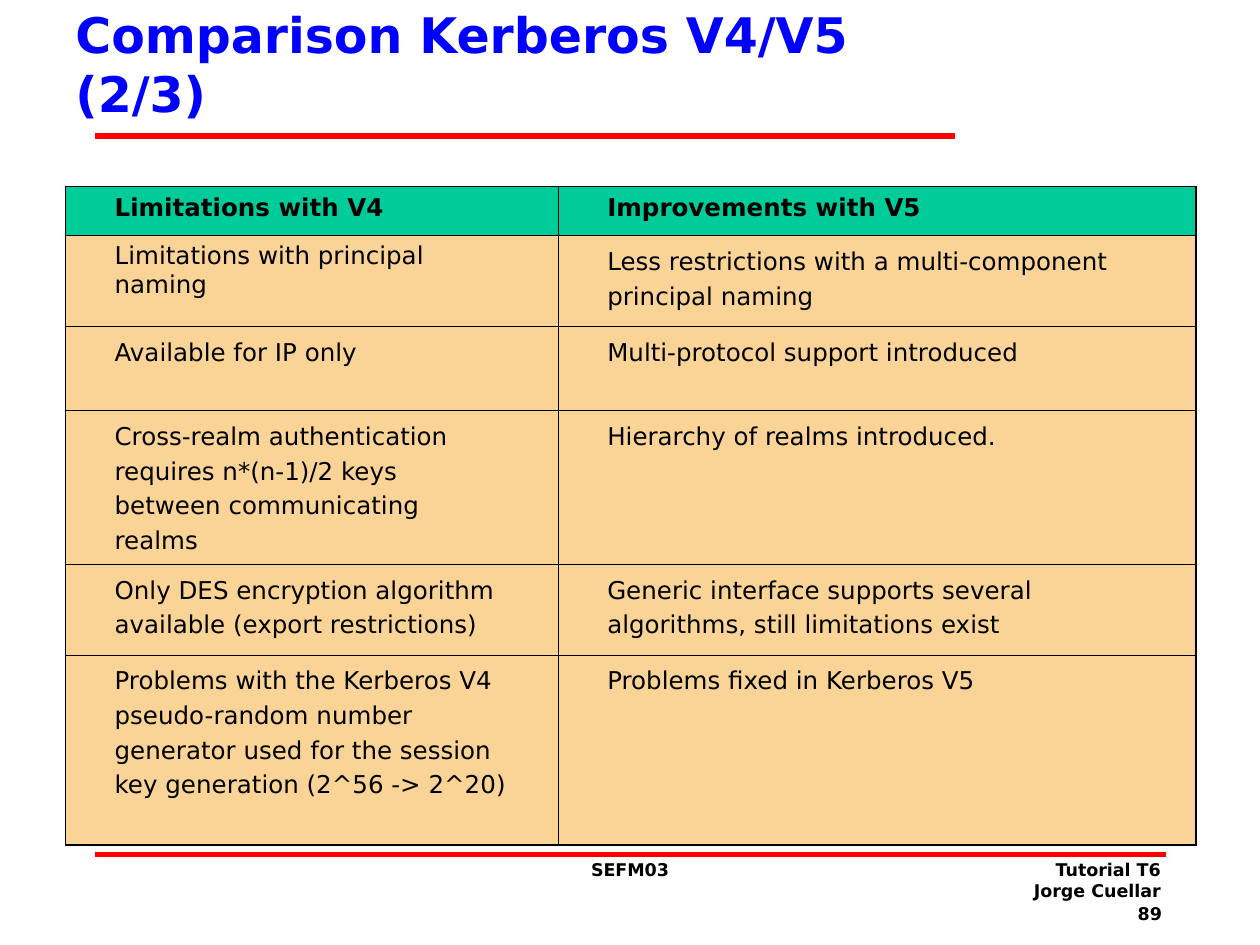
from dataclasses import dataclass

from lxml import etree
from pptx import Presentation
from pptx.dml.color import RGBColor
from pptx.enum.shapes import MSO_CONNECTOR
from pptx.enum.text import MSO_ANCHOR, PP_ALIGN
from pptx.oxml.ns import qn
from pptx.util import Inches, Pt

STRAIGHT = MSO_CONNECTOR.STRAIGHT
TOP, MIDDLE = MSO_ANCHOR.TOP, MSO_ANCHOR.MIDDLE
LEFT, CENTER, RIGHT = PP_ALIGN.LEFT, PP_ALIGN.CENTER, PP_ALIGN.RIGHT

FONT = "DejaVu Sans"
COLORS = {
    "black": "000000",
    "blue": "0000FF",
    "red": "FF0000",
    "green": "00CC99",
    "sand": "FAD496",
}
THICK, THIN = Pt(1.08), Pt(0.45)
COLS = (3.91, 5.06)
ROWS = (0.39, 0.72, 0.67, 1, 0.72, 1.51)
CELLS = (
    ("Limitations with V4", "Improvements with V5"),
    ("Limitations with principal naming",
     "Less restrictions with a multi-component principal naming"),
    ("Available for IP only", "Multi-protocol support introduced"),
    ("Cross-realm authentication requires n*(n-1)/2 keys between communicating realms",
     "Hierarchy of realms introduced."),
    ("Only DES encryption algorithm available (export restrictions)",
     "Generic interface supports several algorithms, still limitations exist"),
    ("Problems with the Kerberos V4 pseudo-random number generator used for the "
     "session key generation (2^56 -> 2^20)",
     "Problems fixed in Kerberos V5"),
)


@dataclass
class Rule:
    """A red line across the slide."""
    left: float
    right: float
    top: float


@dataclass
class Label:
    """A text box with its place and format."""
    text: str
    left: float
    top: float
    width: float
    height: float
    align: PP_ALIGN
    size: float = 10
    color: str = "black"
    anchor: MSO_ANCHOR = TOP


RULES = (Rule(0.75, 7.58, 1.08), Rule(0.75, 9.25, 6.78))
LABELS = (
    Label("Comparison Kerberos V4/V5 (2/3)", 0.5, 0, 6.69, 1.01, LEFT, 28, "blue", MIDDLE),
    Label("SEFM03", 3.96, 6.77, 2.08, 0.5, CENTER),
    Label("Tutorial T6\nJorge Cuellar", 7.23, 6.77, 2.08, 0.5, RIGHT),
    Label("89", 8.52, 7.12, 0.8, 0.25, RIGHT),
)


def paint(name: str) -> RGBColor:
    """Return the named colour."""
    return RGBColor.from_string(COLORS[name])


def write(frame, text: str, *, size: float, color: str = "black", bold: bool = False,
          align: PP_ALIGN = LEFT, pitch=None, after: float = 0) -> None:
    """Fill a text frame, one paragraph for each line of text."""
    frame.word_wrap = True
    frame.text = text
    for para in frame.paragraphs:
        para.alignment = align
        para.line_spacing = pitch
        para.space_after = Pt(after)
        for run in para.runs:
            font = run.font
            font.name, font.size, font.bold = FONT, Pt(size), bold
            font.color.rgb = paint(color)


def draw_rule(slide, rule: Rule) -> None:
    """Draw one red line."""
    line = slide.shapes.add_connector(
        STRAIGHT, Inches(rule.left), Inches(rule.top), Inches(rule.right), Inches(rule.top))
    line.line.color.rgb = paint("red")
    line.line.width = Pt(3)
    etree.SubElement(line._element.spPr, qn("a:effectLst"))


def draw_label(slide, label: Label) -> None:
    """Draw one text box."""
    box = slide.shapes.add_textbox(
        Inches(label.left), Inches(label.top), Inches(label.width), Inches(label.height))
    box.text_frame.vertical_anchor = label.anchor
    write(box.text_frame, label.text, size=label.size, color=label.color,
          bold=True, align=label.align)


def edge(cell, side: str, width: int) -> None:
    """Add one black border to a cell."""
    line = etree.SubElement(cell._tc.get_or_add_tcPr(), qn(f"a:ln{side}"), w=str(int(width)))
    fill = etree.SubElement(line, qn("a:solidFill"))
    etree.SubElement(fill, qn("a:srgbClr"), val=COLORS["black"])


def draw_cell(cell, row: int, col: int) -> None:
    """Fill and frame one cell, with thick lines at the table's outside."""
    outer = {"L": col == 0, "R": col == len(COLS) - 1,
             "T": row == 0, "B": row == len(ROWS) - 1}
    cell.margin_left = cell.margin_right = Inches(0.39)
    cell.margin_top = cell.margin_bottom = Inches(0.05)
    for side, thick in outer.items():
        edge(cell, side, THICK if thick else THIN)
    head = row == 0
    tight = head or (row, col) == (1, 0)
    cell.fill.solid()
    cell.fill.fore_color.rgb = paint("green" if head else "sand")
    pitch = Pt(17) if head else 1.0 if tight else 1.2
    write(cell.text_frame, CELLS[row][col], size=14, bold=head,
          pitch=pitch, after=4.4 if tight else 0)


def draw_table(slide) -> None:
    """Draw the comparison table."""
    table = slide.shapes.add_table(
        len(ROWS), len(COLS), Inches(0.52), Inches(1.48),
        Inches(sum(COLS)), Inches(sum(ROWS))).table
    table.first_row = table.horz_banding = False
    for col, width in enumerate(COLS):
        table.columns[col].width = Inches(width)
    for row, height in enumerate(ROWS):
        table.rows[row].height = Inches(height)
        for col in range(len(COLS)):
            draw_cell(table.cell(row, col), row, col)


def main() -> None:
    """Build and save the slide."""
    deck = Presentation()
    deck.slide_width, deck.slide_height = Inches(10), Inches(7.5)
    slide = deck.slides.add_slide(deck.slide_layouts[6])
    for rule in RULES:
        draw_rule(slide, rule)
    for label in LABELS:
        draw_label(slide, label)
    draw_table(slide)
    deck.save("out.pptx")


if __name__ == "__main__":
    main()
